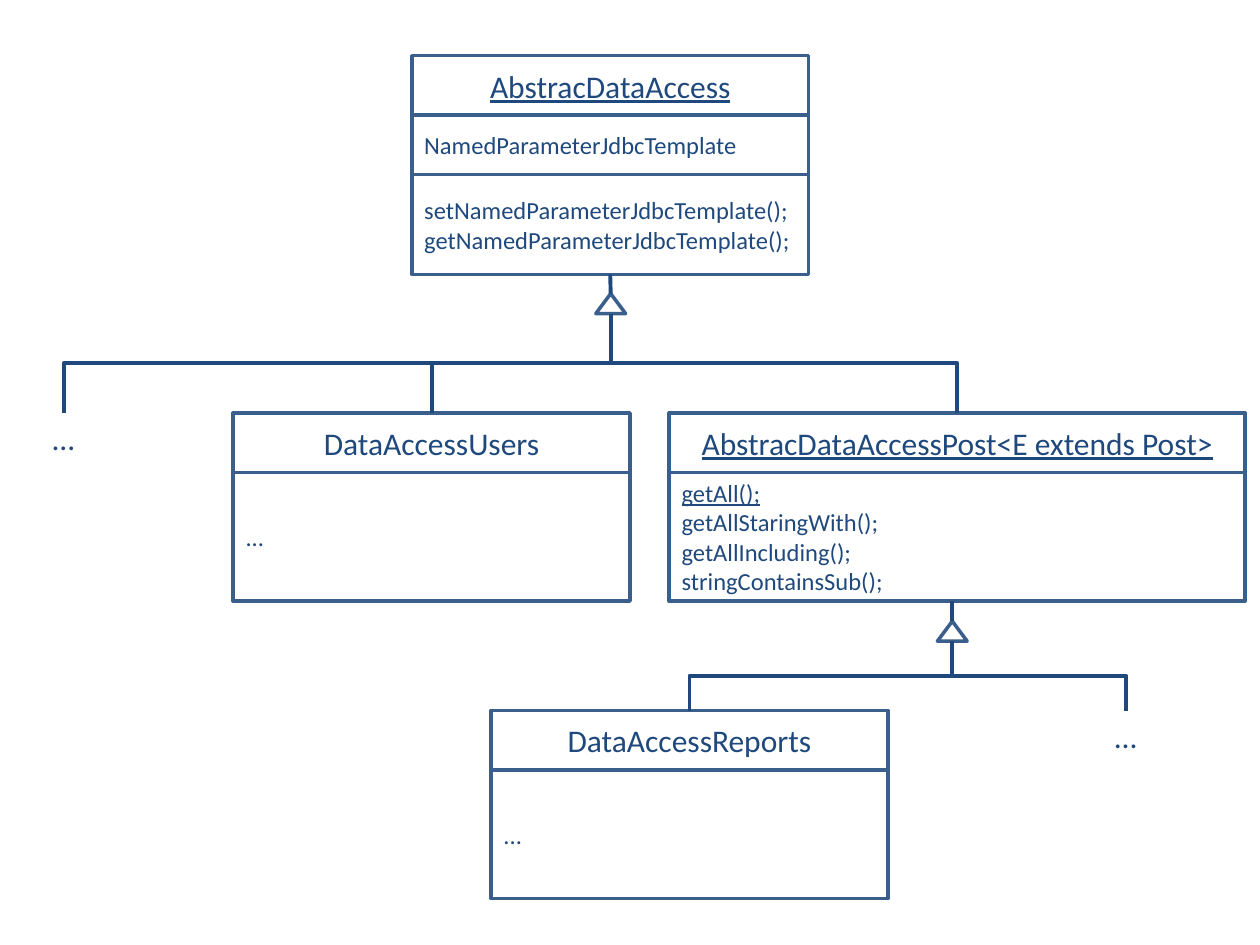
"""Draws a class diagram of the data access layer."""
from dataclasses import dataclass

from lxml import etree
from pptx import Presentation
from pptx.dml.color import RGBColor
from pptx.enum.shapes import MSO_CONNECTOR, MSO_SHAPE
from pptx.enum.text import MSO_ANCHOR, MSO_AUTO_SIZE, PP_ALIGN
from pptx.oxml.ns import qn
from pptx.shapes.autoshape import Shape
from pptx.shapes.connector import Connector
from pptx.shapes.shapetree import SlideShapes
from pptx.text.text import TextFrame
from pptx.util import Pt

RECT, TRIANGLE = MSO_SHAPE.RECTANGLE, MSO_SHAPE.ISOSCELES_TRIANGLE
STRAIGHT, ELBOW = MSO_CONNECTOR.STRAIGHT, MSO_CONNECTOR.ELBOW
MIDDLE, LEFT, CENTER = MSO_ANCHOR.MIDDLE, PP_ALIGN.LEFT, PP_ALIGN.CENTER
FIT = MSO_AUTO_SIZE.SHAPE_TO_FIT_TEXT


@dataclass(frozen=True)
class Theme:
    font: str = "Calibri"
    ink: RGBColor = RGBColor(0x1F, 0x49, 0x7D)
    edge: RGBColor = RGBColor(0x3A, 0x5F, 0x8C)
    title: float = 18
    body: float = 14
    border: float = 2
    link: float = 2.25


@dataclass(frozen=True)
class Line:
    text: str
    under: bool = False


@dataclass(frozen=True)
class Row:
    height: float
    lines: tuple[Line, ...]


@dataclass(frozen=True)
class Entry:
    left: float
    top: float
    width: float
    title: Line
    rows: tuple[Row, ...]


@dataclass(frozen=True)
class Branch:
    start: float
    base: float
    mid: float
    tip: float
    ends: tuple[float, ...]
    floor: float


@dataclass(frozen=True)
class Label:
    left: float
    top: float


THEME = Theme()
HEAD, BODY, WIDE = 34, 73.5, 226.8
ROW_A, ROW_B = 236, 406
TIP_W, TIP_H = 17, 11.4
MORE = Line("...")
REST = Row(BODY, (MORE,))

ENTRIES = (
    Entry(235.3, 31.8, WIDE, Line("AbstracDataAccess", True), (
        Row(HEAD, (Line("NamedParameterJdbcTemplate"),)),
        Row(57, (Line("setNamedParameterJdbcTemplate();"),
                 Line("getNamedParameterJdbcTemplate();"))))),
    Entry(382.4, ROW_A, 329.2,
          Line("AbstracDataAccessPost<E extends Post>", True), (
              Row(BODY, (Line("getAll();", True),
                         Line("getAllStaringWith();"),
                         Line("getAllIncluding();"),
                         Line("stringContainsSub();"))),)),
    Entry(133.2, ROW_A, WIDE, Line("DataAccessUsers"), (REST,)),
    Entry(280.6, ROW_B, WIDE, Line("DataAccessReports"), (REST,)),
)
BRANCHES = (
    Branch(348.7, 156.8, 349, 167.8, (246.6, 547, 36.6), ROW_A),
    Branch(544.2, 343.5, 544.2, 355, (394, 643.6), ROW_B),
)
LABELS = (Label(22.4, ROW_A), Label(629.4, ROW_B))


def write(frame: TextFrame, lines: tuple[Line, ...], size: float,
          align: PP_ALIGN = LEFT) -> None:
    for i, line in enumerate(lines):
        para = frame.add_paragraph() if i else frame.paragraphs[0]
        para.alignment = align
        run = para.add_run()
        run.text = line.text
        font = run.font
        font.name, font.size = THEME.font, Pt(size)
        font.color.rgb = THEME.ink
        if line.under:
            font.underline = True


def outline(shapes: SlideShapes, kind: MSO_SHAPE, left: float, top: float,
            width: float, height: float) -> Shape:
    shape = shapes.add_shape(kind, Pt(left), Pt(top), Pt(width), Pt(height))
    shape.shadow.inherit = False
    shape.fill.background()
    shape.line.color.rgb = THEME.edge
    shape.line.width = Pt(THEME.border)
    shape.text_frame.vertical_anchor = MIDDLE
    return shape


def draw_entry(shapes: SlideShapes, item: Entry) -> None:
    box = outline(shapes, RECT, item.left, item.top, item.width, HEAD)
    write(box.text_frame, (item.title,), THEME.title, CENTER)
    top = item.top + HEAD
    for row in item.rows:
        box = outline(shapes, RECT, item.left, top, item.width, row.height)
        write(box.text_frame, row.lines, THEME.body)
        top += row.height


def link(shapes: SlideShapes, kind: MSO_CONNECTOR, x1: float, y1: float,
         x2: float, y2: float) -> Connector:
    line = shapes.add_connector(kind, Pt(x1), Pt(y1), Pt(x2), Pt(y2))
    line.line.color.rgb = THEME.ink
    line.line.width = Pt(THEME.link)
    etree.SubElement(line._element.spPr, qn("a:effectLst"))
    return line


def drop(shapes: SlideShapes, x1: float, y1: float, x2: float,
         y2: float) -> None:
    mid_x, mid_y = (x1 + x2) / 2, (y1 + y2) / 2
    half_w, half_h = (y2 - y1) / 2, abs(x2 - x1) / 2
    right = x2 > x1
    side = -half_w if right else half_w
    line = link(shapes, ELBOW, mid_x - side, mid_y - half_h,
                mid_x + side, mid_y + half_h)
    turn = 270 if right else 90
    line._element.spPr.find(qn("a:xfrm")).set("rot", str(turn * 60000))


def draw_branch(shapes: SlideShapes, item: Branch) -> None:
    outline(shapes, TRIANGLE, item.mid - TIP_W / 2, item.tip, TIP_W, TIP_H)
    link(shapes, STRAIGHT, item.start, item.base, item.mid, item.tip)
    for end in item.ends:
        drop(shapes, item.mid, item.tip + TIP_H, end, item.floor)


def draw_label(shapes: SlideShapes, item: Label) -> None:
    box = shapes.add_textbox(Pt(item.left), Pt(item.top), Pt(28.4), Pt(29))
    box.text_frame.word_wrap = False
    box.text_frame.auto_size = FIT
    write(box.text_frame, (MORE,), THEME.title)


def main() -> None:
    deck = Presentation()
    deck.slide_width, deck.slide_height = Pt(720), Pt(540)
    shapes = deck.slides.add_slide(deck.slide_layouts[6]).shapes
    for item in ENTRIES:
        draw_entry(shapes, item)
    for item in BRANCHES:
        draw_branch(shapes, item)
    for item in LABELS:
        draw_label(shapes, item)
    deck.save("out.pptx")


if __name__ == "__main__":
    main()
